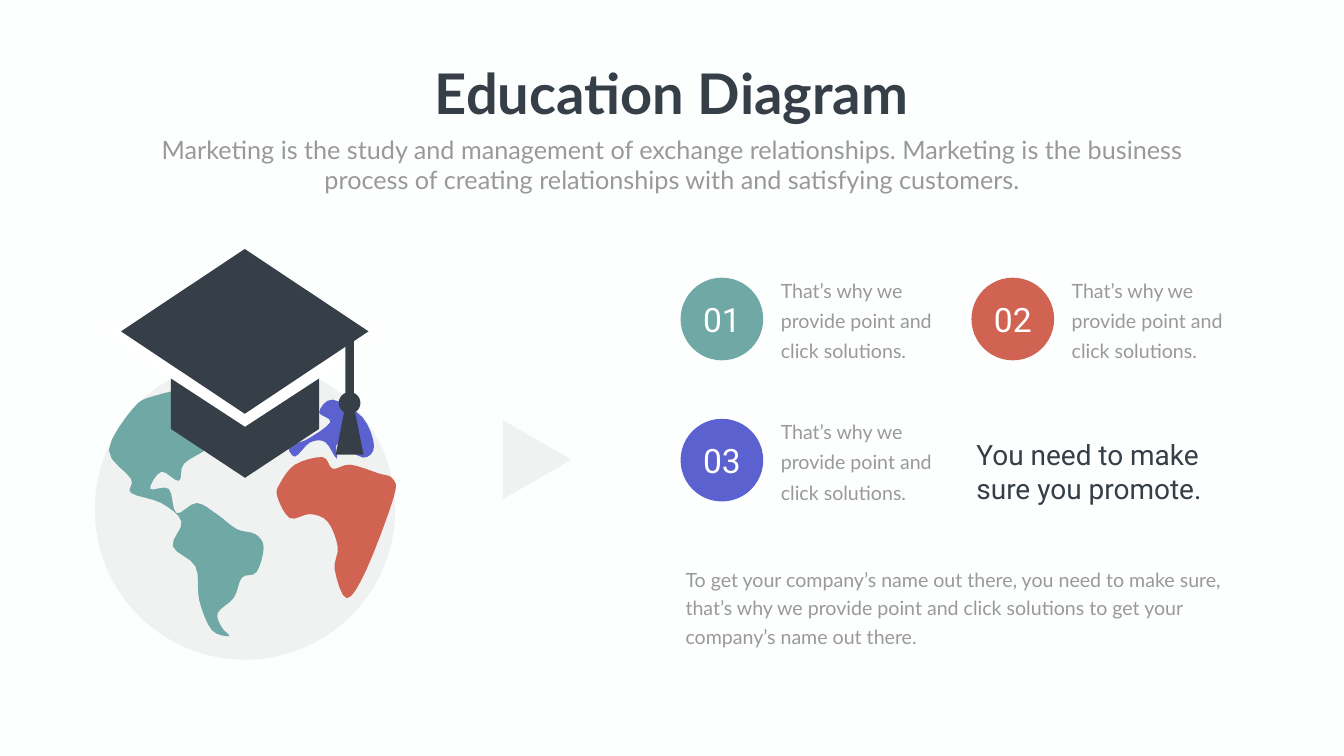
import pptx
import pptx.util
import pptx.dml.color
import pptx.enum.shapes
import pptx.enum.text
import pptx.oxml.ns
import lxml.etree

Inches = pptx.util.Inches
Pt = pptx.util.Pt
RGB = pptx.dml.color.RGBColor
Kind = pptx.enum.shapes.MSO_SHAPE
Align = pptx.enum.text.PP_ALIGN
Anchor = pptx.enum.text.MSO_ANCHOR

hues = {"paper": "FDFFFE", "white": "FFFFFF", "haze": "808080", "teal": "6FA8A4",
        "red": "D06352", "blue": "5B62D0", "dark": "363E48", "grey": "999999"}


def paint(shape, hue, alpha=None):
    shape.shadow.inherit = False
    shape.fill.solid()
    shape.fill.fore_color.rgb = RGB.from_string(hues[hue])
    shape.line.fill.background()
    if alpha:
        color = shape.fill._xPr.find(".//" + pptx.oxml.ns.qn("a:srgbClr"))
        lxml.etree.SubElement(color, pptx.oxml.ns.qn("a:alpha"), val=str(alpha * 1000))


def write(shape, text, size, face, hue, align=Align.LEFT, lead=None, bold=False,
          wrap=True, anchor=Anchor.TOP):
    frame = shape.text_frame
    frame.text = text
    frame.word_wrap = wrap
    frame.auto_size = pptx.enum.text.MSO_AUTO_SIZE.NONE
    frame.vertical_anchor = anchor
    para = frame.paragraphs[0]
    para.alignment = align
    para.space_before = Pt(0)
    if lead:
        para.line_spacing = Pt(lead)
    font = para.runs[0].font
    font.size = Pt(size)
    font.name = face
    font.bold = bold
    font.color.rgb = RGB.from_string(hues[hue])


deck = pptx.Presentation()
deck.slide_width = Inches(26.66)
deck.slide_height = Inches(15)
slide = deck.slides.add_slide(deck.slide_layouts[0])
slide.background.fill.solid()
slide.background.fill.fore_color.rgb = RGB.from_string(hues["paper"])
shapes = slide.shapes

title, intro = slide.placeholders
title.left, title.top, title.width, title.height = map(Inches, (8.44, 1.12, 9.77, 1.45))
write(title, "Education Diagram", 80, "Lato", "dark", Align.CENTER, bold=True, wrap=False)
intro.left, intro.top, intro.width, intro.height = map(Inches, (2.92, 2.61, 20.82, 1.31))
write(intro, "Marketing is the study and management of exchange relationships. "
      "Marketing is the business process of creating relationships with and satisfying customers.",
      36, "Lato", "grey", Align.CENTER)

globe = shapes.add_shape(Kind.OVAL, Inches(1.88), Inches(7.13), Inches(5.96), Inches(5.96))
paint(globe, "haze", 10)

lands = [
    ("teal", [
        (4.2, 12.5), (3.95, 11.9), (3.88, 11.24), (3.43, 10.84), (3.6, 10.35), (3.2, 9.98),
        (2.6, 9.78), (2.6, 9.5), (2.16, 8.93), (2.65, 8.09), (3.08, 7.85), (3.94, 7.7),
        (4.85, 7.88), (4.5, 8.4), (4.15, 8.87), (3.65, 9.2), (3.55, 9.54), (3.2, 9.36),
        (2.98, 9.7), (3.35, 9.7), (3.5, 10.18), (3.9, 9.98), (4.3, 10.2), (4.7, 10.5),
        (5.07, 10.6), (5.23, 10.86), (5.09, 11.35), (4.8, 11.46), (4.64, 11.86),
        (4.32, 12.16), (4.4, 12.45), (4.55, 12.62)]),
    ("red", [
        (7.81, 9.87), (7.27, 11.3), (6.88, 11.87), (6.64, 11.3), (6.7, 10.85), (6.5, 10.35),
        (6.15, 10.2), (5.75, 10.28), (5.5, 9.85), (5.55, 9.6), (5.85, 9.22), (6.4, 9.07),
        (6.6, 9.3), (6.95, 9.22), (7.5, 9.39), (7.79, 9.5)]),
    ("blue", [
        (6.6, 7.93), (7.19, 8.28), (7.42, 8.85), (7.2, 9.08), (6.7, 8.8), (6.68, 9.1),
        (6.45, 8.77), (6.15, 8.78), (5.85, 9.06), (5.72, 8.82), (6.05, 8.74), (6.55, 8.38),
        (6.33, 8.18)]),
    ("blue", [(6.14, 8.57), (6.07, 8.2), (6.2, 8.4)]),
]
for hue, dots in lands:
    curve = []
    for i in range(len(dots)):
        a, b, c, d = (dots[(i + j) % len(dots)] for j in (-1, 0, 1, 2))
        for t in (0, 0.25, 0.5, 0.75):
            curve.append(tuple(
                Inches(q + t * (r - p) / 2 + t ** 2 * (p - 2.5 * q + 2 * r - s / 2)
                       + t ** 3 * (3 * q - p - 3 * r + s) / 2)
                for p, q, r, s in zip(a, b, c, d)))
    draft = shapes.build_freeform(*curve[0])
    draft.add_line_segments(curve[1:])
    paint(draft.convert_to_shape(), hue)

gap = shapes.add_shape(Kind.ISOSCELES_TRIANGLE, Inches(1.91), Inches(6.44), Inches(5.9), Inches(2.22))
gap.rotation = 180
paint(gap, "white")

mid, half = 4.86, 1.47
draft = shapes.build_freeform(Inches(mid - half), Inches(7.51))
draft.add_line_segments([(Inches(mid + x), Inches(y)) for x, y in (
    (0, 8.47), (half, 7.51), (half, 8.51), (0, 9.48), (-half, 8.51))])
paint(draft.convert_to_shape(), "dark")

for kind, x, y, wide, high in (
        (Kind.DIAMOND, 2.4, 4.94, 4.91, 3.27), (Kind.RECTANGLE, 6.85, 6.7, 0.17, 1.2),
        (Kind.OVAL, 6.72, 7.78, 0.43, 0.43), (Kind.TRAPEZOID, 6.66, 8.15, 0.55, 0.87)):
    part = shapes.add_shape(kind, Inches(x), Inches(y), Inches(wide), Inches(high))
    if kind == Kind.TRAPEZOID:
        part.adjustments[0] = 0.31
    paint(part, "dark")

arrow = shapes.add_shape(Kind.ISOSCELES_TRIANGLE, Inches(9.87), Inches(8.44), Inches(1.57), Inches(1.36))
arrow.rotation = 90
paint(arrow, "haze", 10)

for i, hue in enumerate(("teal", "red", "blue")):
    x = 13.5 + 5.77 * (i % 2)
    y = 5.51 + 2.8 * (i // 2)
    disc = shapes.add_shape(Kind.OVAL, Inches(x), Inches(y), Inches(1.64), Inches(1.64))
    paint(disc, hue)
    write(disc, f"{i + 1:02}", 48, "Roboto", "white", Align.CENTER, anchor=Anchor.MIDDLE)
    note = shapes.add_textbox(Inches(x + 1.89), Inches(y - 0.15), Inches(3.63), Inches(1.84))
    write(note, "That’s why we provide point and click solutions.", 28, "Lato", "grey", lead=43)

call = shapes.add_textbox(Inches(19.27), Inches(8.63), Inches(5.04), Inches(1.45))
write(call, "You need to make sure you promote.", 40, "Roboto", "dark")
foot = shapes.add_textbox(Inches(13.5), Inches(11.11), Inches(11.03), Inches(1.77))
write(foot, "To get your company’s name out there, you need to make sure, that’s why we provide "
      "point and click solutions to get your company’s name out there.", 28, "Lato", "grey", lead=40.8)

deck.save("out.pptx")
